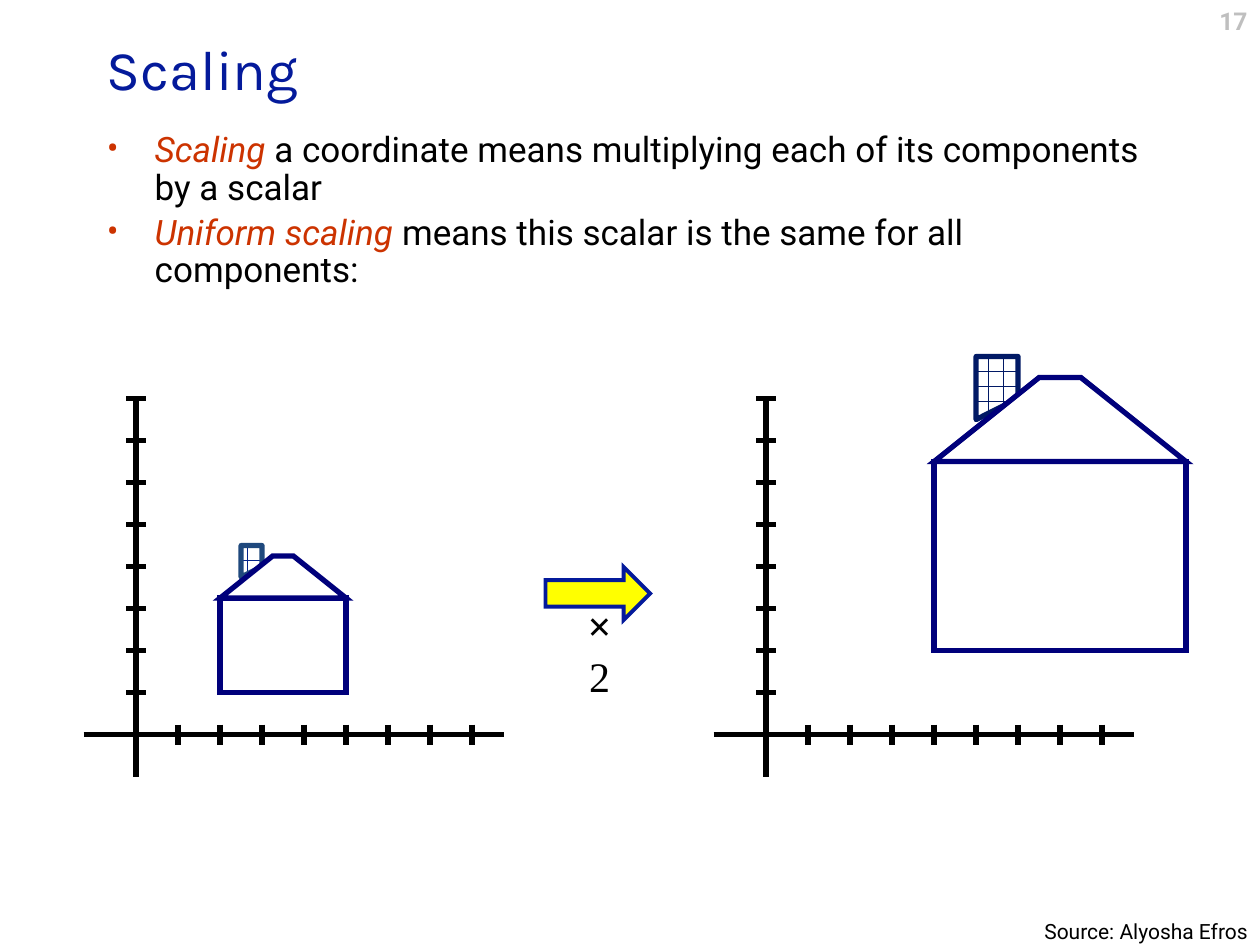
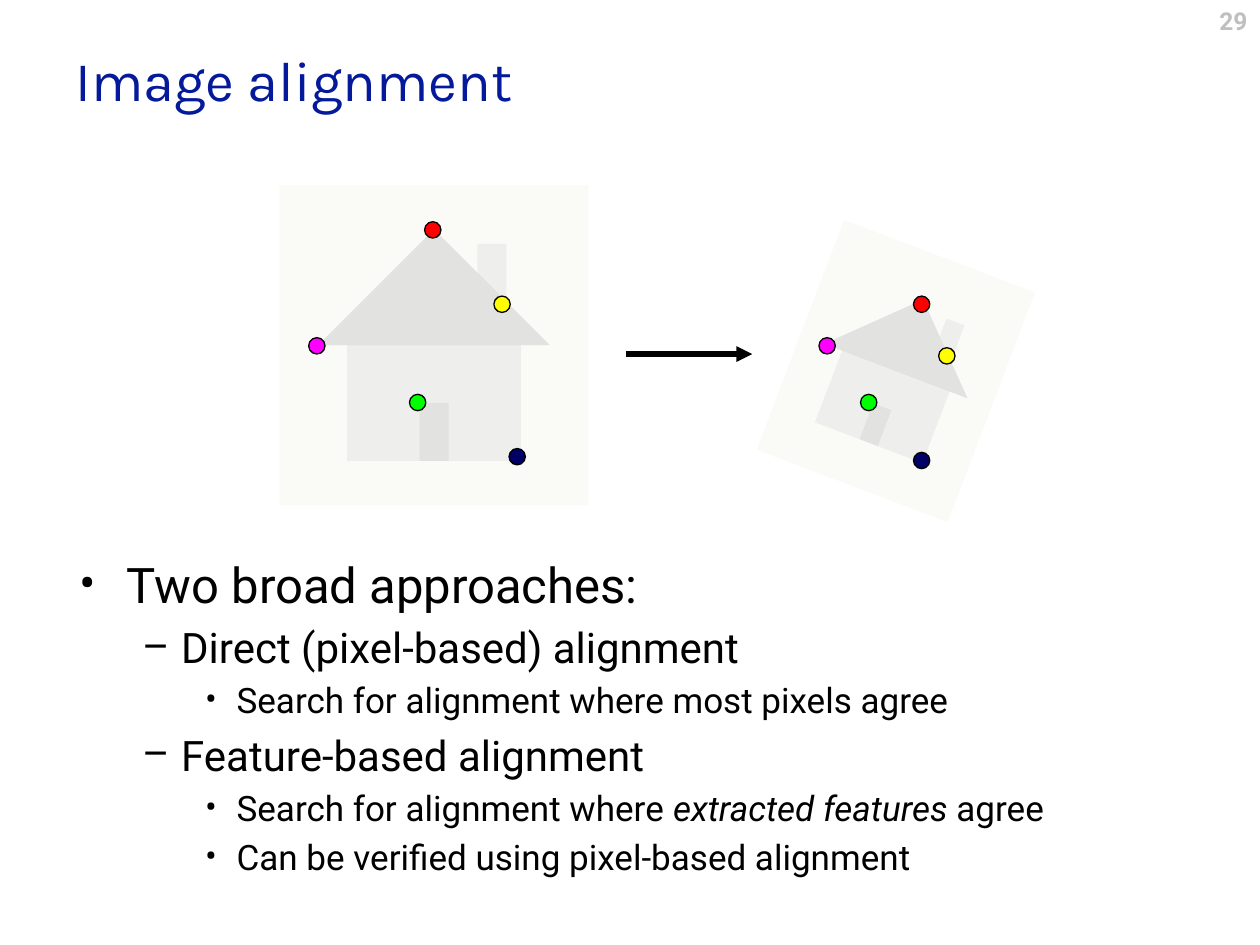
from lxml.etree import SubElement
from pptx import Presentation
from pptx.dml.color import RGBColor
from pptx.enum.dml import MSO_PATTERN
from pptx.enum.shapes import MSO_CONNECTOR, MSO_SHAPE
from pptx.enum.text import MSO_ANCHOR, PP_ALIGN
from pptx.oxml.ns import qn
from pptx.util import Inches, Pt

COLORS = {
    "title": "041A9B", "text": "000000", "term": "CC3300", "number": "BFBFBF",
    "white": "FFFFFF", "wall": "00007B", "backdrop": "EEECE1",
    "red": "FF0000", "navy": "000065", "green": "00FF00", "magenta": "FF00FF", "yellow": "FFFF00",
    "small brick": "032389", "small chimney": "1F497D", "large chimney": "011965",
}
RGB = {name: RGBColor.from_string(value) for name, value in COLORS.items()}
MITERED_LINES = ("wall", "title")


def style_shape(shape, fill, line=None, width=3):
    shape.shadow.inherit = False
    shape.fill.solid()
    shape.fill.fore_color.rgb = RGB[fill]
    if line:
        shape.line.color.rgb = RGB[line]
        shape.line.width = Pt(width)
        if line in MITERED_LINES:
            SubElement(shape._element.spPr.find(qn("a:ln")), qn("a:miter")).set("lim", "800000")
    else:
        shape.line.fill.background()


def draw_line(slide, start_x, start_y, end_x, end_y):
    line = slide.shapes.add_connector(
        MSO_CONNECTOR.STRAIGHT, Inches(start_x), Inches(start_y), Inches(end_x), Inches(end_y))
    line.line.color.rgb = RGB["text"]
    line.line.width = Pt(3)
    SubElement(line._element.spPr, qn("a:effectLst"))
    return line


presentation = Presentation()
presentation.slide_width = Inches(10)
presentation.slide_height = Inches(7.5)
blank = presentation.slide_layouts[6]
scaling = presentation.slides.add_slide(blank)
alignment = presentation.slides.add_slide(blank)

for slide, number, title, title_box in (
    (scaling, "17", "Scaling", (0.75, 0.08, 8.5, 0.92)),
    (alignment, "29", "Image alignment", (0.5, 0, 9, 1.25)),
):
    for words, box, font_name, size, color, bold, align, anchor in (
        (number, (7.67, 0, 2.33, 0.4), "Roboto", 14, "number", True, PP_ALIGN.RIGHT, MSO_ANCHOR.TOP),
        (title, title_box, "Karla", 32, "title", False, PP_ALIGN.LEFT, MSO_ANCHOR.MIDDLE),
    ):
        text_frame = slide.shapes.add_textbox(*map(Inches, box)).text_frame
        text_frame.word_wrap = True
        text_frame.vertical_anchor = anchor
        text_frame.text = words
        paragraph = text_frame.paragraphs[0]
        paragraph.alignment = align
        font = paragraph.runs[0].font
        font.name, font.size, font.bold = font_name, Pt(size), bold
        font.color.rgb = RGB[color]

LEVELS = [("•", 0.38, 0.38), ("–", 0.81, 0.31), ("•", 1.25, 0.25)]
scaling_body = [
    (0, [("Scaling", "term"), (" a coordinate means multiplying each of its components by a scalar", "")]),
    (0, [("Uniform scaling", "term"), (" means this scalar is the same for all components:", "")]),
]
alignment_body = [
    (0, [("Two broad approaches:", "")]),
    (1, [("Direct (pixel-based) alignment", "")]),
    (2, [("Search for alignment where most pixels agree", "")]),
    (1, [("Feature-based alignment", "")]),
    (2, [("Search for alignment where ", ""), ("extracted features", "italic"), (" agree", "")]),
    (2, [("Can be verified using pixel-based alignment", "")]),
]
for slide, box, body, sizes, spacing in (
    (scaling, (0.75, 1, 8.5, 2.62), scaling_body, [20], 0.9),
    (alignment, (0.53, 4.35, 9, 3.1), alignment_body, [28, 24, 20], 1.0),
):
    text_frame = slide.shapes.add_textbox(*map(Inches, box)).text_frame
    text_frame.word_wrap = True
    for index, (level, runs) in enumerate(body):
        paragraph = text_frame.add_paragraph() if index else text_frame.paragraphs[0]
        bullet, indent, hanging = LEVELS[level]
        properties = paragraph._p.get_or_add_pPr()
        properties.set("marL", str(Inches(indent)))
        properties.set("indent", str(-Inches(hanging)))
        SubElement(properties, qn("a:buFont")).set("typeface", "Roboto")
        SubElement(properties, qn("a:buChar")).set("char", bullet)
        paragraph.level = level
        paragraph.line_spacing = spacing
        if index:
            paragraph.space_before = Pt(0.2 * sizes[level])
        for words, role in runs:
            run = paragraph.add_run()
            run.text = words
            run.font.name = "Roboto"
            run.font.size = Pt(sizes[level])
            run.font.italic = bool(role)
            run.font.color.rgb = RGB["term" if role == "term" else "text"]

UNIT = 1 / 3
AXIS_Y = 5.83
TICK = 0.08
for axis_x, scale, brick, chimney_line in (
    (1.08, 1, "small brick", "small chimney"),
    (6.08, 2, "large chimney", "large chimney"),
):
    draw_line(scaling, axis_x, AXIS_Y - 8 * UNIT, axis_x, AXIS_Y + UNIT)
    draw_line(scaling, axis_x - 1.25 * UNIT, AXIS_Y, axis_x + 8.75 * UNIT, AXIS_Y)
    for step in range(1, 9):
        tick_x, tick_y = axis_x + step * UNIT, AXIS_Y - step * UNIT
        draw_line(scaling, tick_x, AXIS_Y - TICK, tick_x, AXIS_Y + TICK)
        draw_line(scaling, axis_x - TICK, tick_y, axis_x + TICK, tick_y)

    size = scale * UNIT
    chimney = [(2.5, 3.75), (2.5, 4.5), (3, 4.5), (3, 4)]
    wall = [(2, 1), (2, 3.25), (5, 3.25), (5, 1)]
    roof = [(2, 3.25), (3.25, 4.25), (3.75, 4.25), (5, 3.25)]
    for part, line in ((chimney, chimney_line), (wall, "wall"), (roof, "wall")):
        points = [(Inches(axis_x + x * size), Inches(AXIS_Y - y * size)) for x, y in part]
        if part is wall:
            left, top = points[1]
            right, bottom = points[3]
            shape = scaling.shapes.add_shape(MSO_SHAPE.RECTANGLE, left, top, right - left, bottom - top)
        else:
            outline = scaling.shapes.build_freeform(*points[0])
            outline.add_line_segments(points[1:], close=True)
            shape = outline.convert_to_shape()
        style_shape(shape, "white", line)
        if part is chimney:
            shape.fill.patterned()
            shape.fill.pattern = MSO_PATTERN.HORIZONTAL_BRICK
            shape.fill.fore_color.rgb = RGB[brick]
            shape.fill.back_color.rgb = RGB["white"]

scale_arrow = scaling.shapes.add_shape(
    MSO_SHAPE.RIGHT_ARROW, Inches(4.33), Inches(4.5), Inches(0.83), Inches(0.42))
style_shape(scale_arrow, "yellow", "title", 2.25)

factor = scaling.shapes.add_textbox(Inches(4.46), Inches(4.76), Inches(0.6), Inches(0.8)).text_frame
factor.word_wrap = True
factor.vertical_anchor = MSO_ANCHOR.MIDDLE
factor.paragraphs[0].alignment = PP_ALIGN.CENTER
for words, bold in (("× ", True), ("2", False)):
    run = factor.paragraphs[0].add_run()
    run.text = words
    run.font.name, run.font.size, run.font.bold = "Times New Roman", Pt(24), bold
    run.font.color.rgb = RGB["text"]

source = scaling.shapes.add_textbox(Inches(8.19), Inches(7.24), Inches(2.8), Inches(0.3)).text_frame
source.word_wrap = True
source.text = "Source: Alyosha Efros"
source_font = source.paragraphs[0].runs[0].font
source_font.name, source_font.size = "Roboto", Pt(12)
source_font.color.rgb = RGB["text"]

mapping_arrow = draw_line(alignment, 4.97, 2.81, 5.97, 2.81)
arrow_line = mapping_arrow._element.spPr.find(qn("a:ln"))
SubElement(arrow_line, qn("a:tailEnd")).set("type", "triangle")

DOT = 0.13
for house_box, rotation, dots in (
    ((2.22, 1.47, 2.45, 2.54), 0,
     {"red": (3.37, 1.76), "navy": (4.04, 3.56), "green": (3.25, 3.13),
      "magenta": (2.45, 2.68), "yellow": (3.92, 2.35)}),
    ((6.3, 1.97, 1.62, 1.95), 20.8,
     {"red": (7.25, 2.35), "navy": (7.25, 3.59), "green": (6.83, 3.13),
      "magenta": (6.5, 2.68), "yellow": (7.45, 2.76)}),
):
    house = alignment.shapes.add_shape(MSO_SHAPE.ACTION_BUTTON_HOME, *map(Inches, house_box))
    style_shape(house, "backdrop")
    house.rotation = rotation
    house_color = house._element.spPr.find(".//" + qn("a:srgbClr"))
    SubElement(house_color, qn("a:alpha")).set("val", "25000")
    for color, (left, top) in dots.items():
        dot = alignment.shapes.add_shape(
            MSO_SHAPE.OVAL, Inches(left), Inches(top), Inches(DOT), Inches(DOT))
        style_shape(dot, color, "text", 0.75)

presentation.save("out.pptx")
